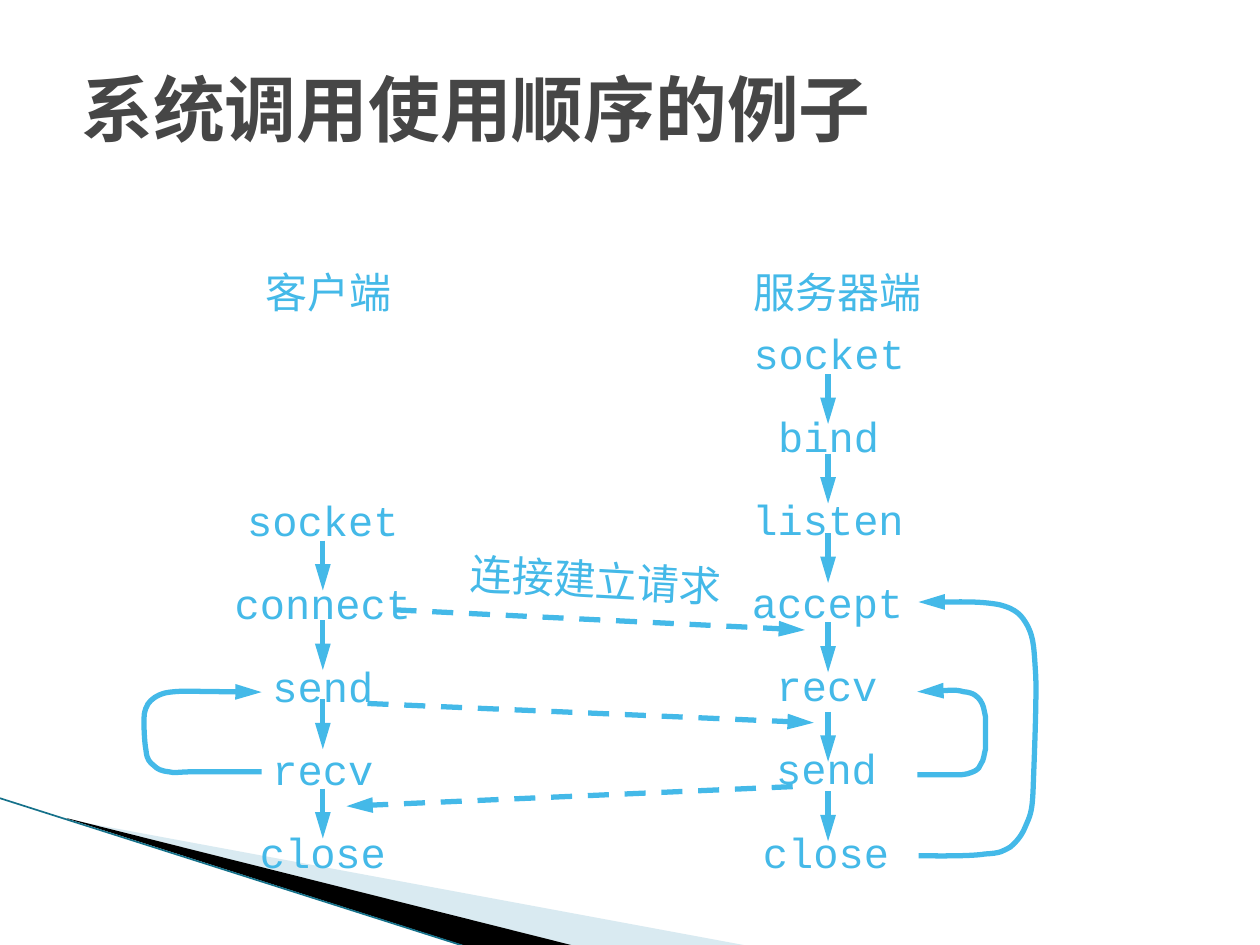
"""Build a slide on the order of socket system calls in client and server."""
from lxml.etree import SubElement
from pptx import Presentation
from pptx.dml.color import RGBColor
from pptx.enum.dml import MSO_LINE
from pptx.enum.shapes import MSO_CONNECTOR
from pptx.enum.text import MSO_ANCHOR, MSO_AUTO_SIZE, PP_ALIGN
from pptx.oxml.ns import qn
from pptx.util import Pt

COLORS = {"title": "464646", "flow": "44B9E8", "pale": "A0CBDC", "black": "000000", "edge": "15718A"}
ROW_STEP = 47.5
ROW_HEIGHT = 36
ARROW_LENGTH = 28.5

CLIENT_LOOP = [
    (67.5, 46), (61, 46), (37.5, 46), (29, 46), (19.5, 46), (18, 47), (14.5, 46),
    (10, 45.5), (8, 44.5), (6, 42.5), (3.5, 40.5), (2, 39), (1.5, 34),
    (0.5, 29), (0, 18), (0.5, 13), (1.5, 8), (3, 6), (6.5, 3.5),
    (10, 1.5), (11.5, 0.5), (21.5, 0), (31.5, 0), (57.5, 0.5), (67.5, 0.5)]
RECEIVE_LOOP = [
    (0, 49), (4.5, 49), (17.5, 49), (23, 49), (28, 49), (30, 48), (32.5, 47),
    (34.5, 46), (36, 44.5), (36.5, 42.5), (38, 40.5), (38, 38), (39, 34),
    (39, 29.5), (39, 20), (39, 16), (38, 11.5), (38, 9.5), (36, 6.5),
    (34.5, 4.5), (32.5, 2), (26.5, 1.5), (21, 0), (6, 1.5), (0, 1.5)]
ACCEPT_LOOP = [
    (0, 145.5), (6.5, 145.5), (29.5, 146), (38, 144.5), (47, 144), (48, 143), (52.5, 140.5),
    (56, 137.5), (59, 134), (61, 129), (63.5, 123), (65, 121.5), (65.5, 107),
    (66, 93), (67.5, 58.5), (67, 43), (66, 27.5), (66, 21.5), (62.5, 14.5),
    (59, 8), (56, 4.5), (46, 2), (35, 0), (9.5, 0.5), (0, 0.5)]


def color(name):
    """Return the named colour."""
    return RGBColor.from_string(COLORS[name])


def add_text(page, box, text, font="Arial", size=24, shade="flow", bold=False, align=PP_ALIGN.LEFT):
    """Add one line of text in a box of left, top, width, height."""
    shape = page.shapes.add_textbox(*map(Pt, box))
    frame = shape.text_frame
    frame.text = text
    frame.word_wrap = False
    frame.auto_size = MSO_AUTO_SIZE.SHAPE_TO_FIT_TEXT
    para = frame.paragraphs[0]
    para.alignment = align
    span = para.runs[0]
    span.font.name = font
    span.font.size = Pt(size)
    span.font.bold = bold
    span.font.color.rgb = color(shade)
    east_asian = SubElement(span.font._element, qn("a:ea"))
    east_asian.set("typeface", font)
    return shape


def style_line(shape, shade="flow", width=3, arrow=True):
    """Set the colour, width and arrowhead of a line."""
    shape.line.color.rgb = color(shade)
    shape.line.width = Pt(width)
    if arrow:
        tail = SubElement(shape.line._get_or_add_ln(), qn("a:tailEnd"))
        tail.set("type", "triangle")
        tail.set("len", "lg")


def add_line(page, start, end, dashed=False, **style):
    """Add a straight connector between two points."""
    line = page.shapes.add_connector(MSO_CONNECTOR.STRAIGHT, *map(Pt, (*start, *end)))
    if dashed:
        line.line.dash_style = MSO_LINE.DASH
    style_line(line, **style)
    SubElement(line._element.spPr, qn("a:effectLst"))


def add_outline(page, left, top, points, close):
    """Add a freeform through points relative to left and top."""
    places = [(Pt(left + x), Pt(top + y)) for x, y in points]
    builder = page.shapes.build_freeform(*places[0])
    builder.add_line_segments(places[1:], close=close)
    shape = builder.convert_to_shape()
    shape.shadow.inherit = False
    return shape


def add_loop(page, left, top, controls):
    """Add a curved arrow that leads back to an earlier call."""
    loop = add_outline(page, left, top, controls[::3], close=False)
    segments = list(loop._element.iter(qn("a:lnTo")))
    for index, segment in enumerate(segments):
        segment.tag = qn("a:cubicBezTo")
        segment.clear()
        for x, y in controls[3 * index + 1:3 * index + 4]:
            point = SubElement(segment, qn("a:pt"))
            point.set("x", str(Pt(left + x) - loop.left))
            point.set("y", str(Pt(top + y) - loop.top))
    loop.fill.background()
    style_line(loop)


def set_frame(shape, box):
    """Give a freeform another frame while its outline stays in place."""
    left, top, width, height = map(Pt, box)
    for point in shape._element.iter(qn("a:pt")):
        point.set("x", str(int(point.get("x")) + shape.left - left))
        point.set("y", str(int(point.get("y")) + shape.top - top))
    outline = next(shape._element.iter(qn("a:path")))
    outline.set("w", str(width))
    outline.set("h", str(height))
    shape.left, shape.top, shape.width, shape.height = left, top, width, height


def add_decoration(page, left, top):
    """Add the wedges in the lower left corner."""
    wedges = (
        ("pale", (56, -62, 299.5, 113.5), [(39.5, 12.5), (428.5, 84.7), (328.5, 84.7), (39.5, 12)]),
        ("black", (-4.5, 0, 299.5, 66), [(38, 11.5), (329, 84.7), (268, 85.2), (39, 12)]))
    for shade, (x, y, width, height), points in wedges:
        wedge = add_outline(page, left, top, points, close=True)
        set_frame(wedge, (left + x, top + y, width, height))
        wedge.fill.solid()
        wedge.fill.fore_color.rgb = color(shade)
        wedge.line.fill.background()
        if shade == "pale":
            tint = wedge._element.spPr.find(".//" + qn("a:srgbClr"))
            SubElement(tint, qn("a:alpha")).set("val", "40000")
    add_line(page, (left - 0.5, top), (left + 267, top + 85.2), shade="edge", width=0.95, arrow=False)


def add_calls(page, center, top, calls, arrow_tops, drift=0.0):
    """Add a column of call names, each shifted by drift, with downward arrows."""
    for row, call in enumerate(calls):
        width = 14.4 * (len(call) + 1)
        middle = center + drift * (row - 2)
        box = (middle - width / 2, top + row * ROW_STEP, width, ROW_HEIGHT)
        add_text(page, box, call, "Courier New", align=PP_ALIGN.CENTER)
    for offset in arrow_tops:
        add_line(page, (center, top + offset), (center, top + offset + ARROW_LENGTH))


def add_client(page, left, top):
    """Add the client side."""
    add_text(page, (left + 62.5, top, 86.4, ROW_HEIGHT), "客户端")
    add_calls(page, left + 102.5, top + 129.9, ("socket", "connect", "send", "recv", "close"),
              (30, 75.5, 120.7, 171.7))
    add_loop(page, left, top + 246, CLIENT_LOOP)


def add_server(page, left, top):
    """Add the server side."""
    add_text(page, (left, top, 110.4, ROW_HEIGHT), "服务器端")
    add_calls(page, left + 49.8, top + 34.5,
              ("socket", "bind", "listen", "accept", "recv", "send", "close"),
              (30.3, 75.7, 121.1, 172.2, 223.3, 268.7), drift=-0.3)
    add_loop(page, left + 100.8, top + 244.8, RECEIVE_LOOP)
    add_loop(page, left + 101.5, top + 194.5, ACCEPT_LOOP)


def add_messages(page, left, top):
    """Add the dashed messages between client and server."""
    for start, end in (((12, 53.5), (267, 64.5)), ((255, 101), (0, 112.2)), ((28, 0), (262, 11.5))):
        add_line(page, (left + start[0], top + start[1]), (left + end[0], top + end[1]), dashed=True)
    label = add_text(page, (left + 63.5, top - 35.3, 158.4, ROW_HEIGHT), "连接建立请求")
    label.rotation = 3.1


def main():
    """Build and save the deck."""
    deck = Presentation()
    deck.slide_width, deck.slide_height = Pt(720), Pt(540)
    page = deck.slides.add_slide(deck.slide_layouts[6])
    add_decoration(page, 0, 456)
    title = add_text(page, (39.5, 16.5, 648, 90), "系统调用使用顺序的例子", "Courier New", 41, "title", True)
    title.text_frame.auto_size = MSO_AUTO_SIZE.NONE
    title.text_frame.word_wrap = True
    title.text_frame.vertical_anchor = MSO_ANCHOR.MIDDLE
    add_client(page, 82, 149)
    add_server(page, 423.4, 149)
    add_messages(page, 198, 348.5)
    deck.save("out.pptx")


if __name__ == "__main__":
    main()
